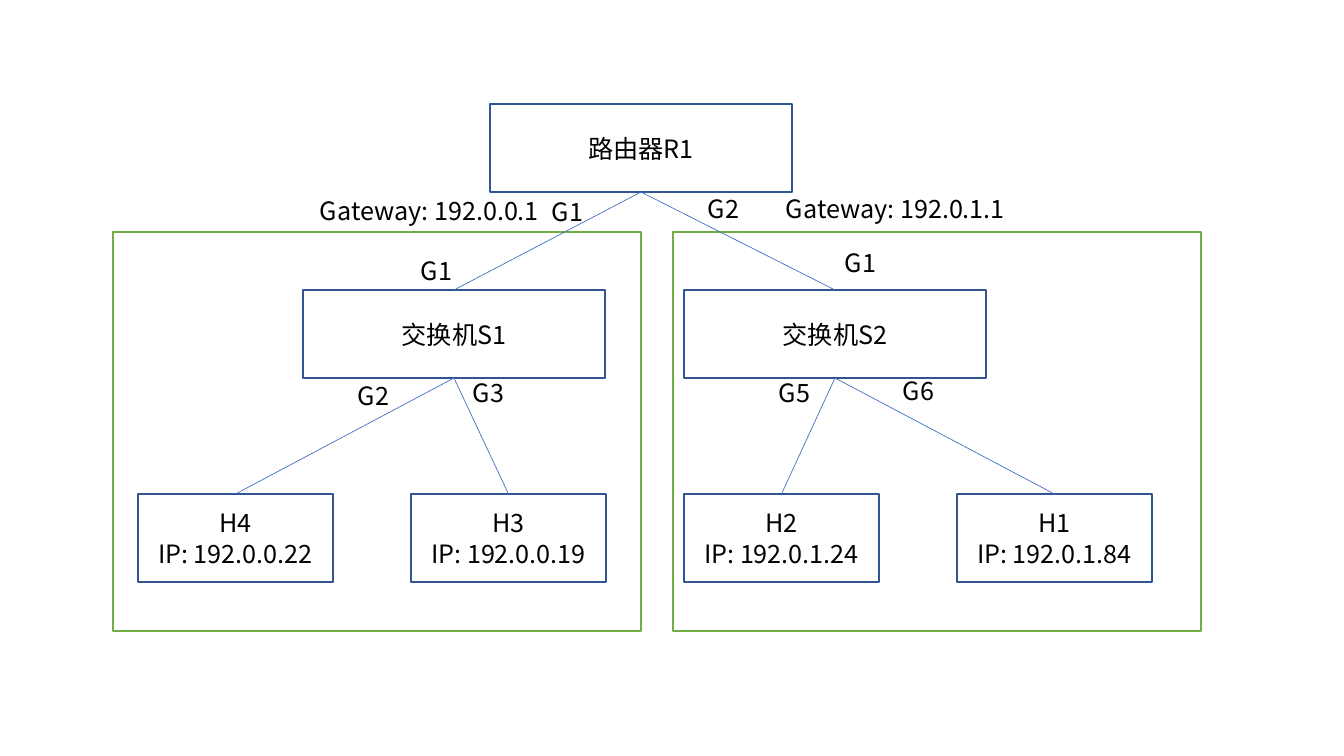
from typing import NamedTuple

from lxml import etree
from pptx import Presentation
from pptx.dml.color import RGBColor
from pptx.enum.shapes import MSO_CONNECTOR, MSO_SHAPE
from pptx.enum.text import MSO_ANCHOR, MSO_AUTO_SIZE, PP_ALIGN
from pptx.oxml.ns import qn
from pptx.util import Emu, Pt

RECT = MSO_SHAPE.RECTANGLE
LINE = MSO_CONNECTOR.STRAIGHT
MIDDLE = MSO_ANCHOR.MIDDLE
CENTER = PP_ALIGN.CENTER
GROW = MSO_AUTO_SIZE.SHAPE_TO_FIT_TEXT

SCALE = 914400 / 100.8
FONT = "Noto Sans CJK SC"
WHITE, BLACK = "FFFFFF", "000000"
GREEN, NAVY, BLUE = "70AD47", "325491", "4472C4"
TOP, BOTTOM = 0, 2  # connection sites of a rectangle


class Box(NamedTuple):
    """A bordered rectangle with optional text."""
    x: int
    y: int
    w: int
    h: int
    text: str = ""
    edge: str = NAVY


class Label(NamedTuple):
    """A line of free text."""
    x: int
    y: int
    text: str
    w: int = 60


def px(n):
    """Turn pixels into EMU."""
    return Emu(round(n * SCALE))


def color(code):
    """Turn a hex string into a colour."""
    return RGBColor.from_string(code)


def style(frame, align=None):
    """Format all text of a frame."""
    for par in frame.paragraphs:
        par.alignment = align
        for run in par.runs:
            run.font.size = Pt(18)
            run.font.color.rgb = color(BLACK)
            run.font.name = FONT
            props = run.font._element
            etree.SubElement(props, qn("a:ea")).set("typeface", FONT)


def draw_box(slide, box: Box):
    """Draw a rectangle and return its shape."""
    shape = slide.shapes.add_shape(RECT, *map(px, box[:4]))
    shape.shadow.inherit = False
    shape.fill.solid()
    shape.fill.fore_color.rgb = color(WHITE)
    shape.line.color.rgb = color(box.edge)
    shape.line.width = Pt(1)
    if box.text:
        frame = shape.text_frame
        frame.text = box.text
        frame.vertical_anchor = MIDDLE
        style(frame, CENTER)
    return shape


def draw_link(slide, upper, lower) -> None:
    """Join the bottom of one shape to the top of another."""
    link = slide.shapes.add_connector(LINE, 0, 0, 0, 0)
    link.begin_connect(upper, BOTTOM)
    link.end_connect(lower, TOP)
    link.line.color.rgb = color(BLUE)
    link.line.width = Pt(0.5)
    etree.SubElement(link._element.spPr, qn("a:effectLst"))


def draw_label(slide, label: Label) -> None:
    """Draw a free label."""
    area = (label.x, label.y, label.w, 40)
    frame = slide.shapes.add_textbox(*map(px, area)).text_frame
    frame.word_wrap = True
    frame.auto_size = GROW
    frame.text = label.text
    style(frame)


ZONES = [Box(x, 232, 528, 399, edge=GREEN) for x in (673, 113)]
ROUTER = Box(490, 104, 302, 88, "路由器R1")
SWITCHES = [Box(x, 290, 302, 88, f"交换机S{i}")
            for i, x in enumerate((303, 684), 1)]
HOSTS = [Box(138 + 273 * i, 494, 195, 88, f"H{4 - i}\nIP: 192.0.{tail}")
         for i, tail in enumerate(("0.22", "0.19", "1.24", "1.84"))]
LABELS = [
    Label(411, 250, "G1"),
    Label(835, 242, "G1"),
    Label(542, 191, "G1"),
    Label(698, 188, "G2"),
    Label(348, 375, "G2"),
    Label(463, 372, "G3"),
    Label(769, 372, "G5"),
    Label(893, 370, "G6"),
    Label(310, 190, "Gateway: 192.0.0.1", 323),
    Label(776, 188, "Gateway: 192.0.1.1", 323),
]


def main() -> None:
    """Build and save the slide."""
    deck = Presentation()
    deck.slide_width, deck.slide_height = px(1344), px(756)
    slide = deck.slides.add_slide(deck.slide_layouts[6])
    for zone in ZONES:
        draw_box(slide, zone)
    router = draw_box(slide, ROUTER)
    switches = [draw_box(slide, box) for box in SWITCHES]
    hosts = [draw_box(slide, box) for box in HOSTS]
    for switch in switches:
        draw_link(slide, router, switch)
    for i, host in enumerate(hosts):
        draw_link(slide, switches[i // 2], host)
    for label in LABELS:
        draw_label(slide, label)
    deck.save("out.pptx")


main()
